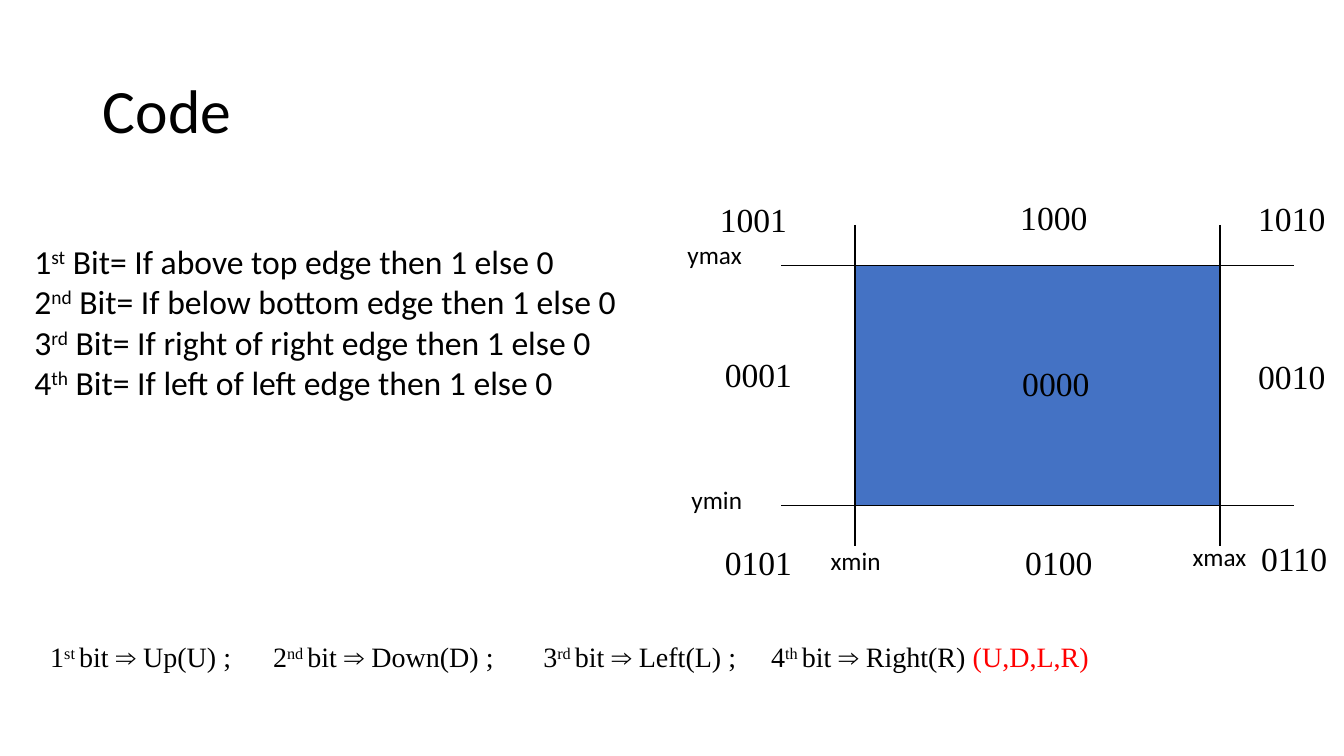
"""Build the slide on region codes for line clipping."""
from dataclasses import dataclass

from lxml import etree
from pptx import Presentation
from pptx.dml.color import RGBColor
from pptx.enum.shapes import MSO_CONNECTOR as CONN, MSO_SHAPE as SHAPE
from pptx.enum.text import MSO_ANCHOR as ANCHOR, MSO_AUTO_SIZE as AUTO, PP_ALIGN as ALIGN
from pptx.oxml.ns import qn
from pptx.util import Inches, Pt


@dataclass(frozen=True)
class Theme:
    black: RGBColor = RGBColor(0, 0, 0)
    red: RGBColor = RGBColor(255, 0, 0)
    blue: RGBColor = RGBColor(0x44, 0x72, 0xC4)
    sans: str = "Calibri"
    serif: str = "Times New Roman"
    title: Pt = Pt(44)
    body: Pt = Pt(24)
    key: Pt = Pt(20)
    label: Pt = Pt(18)
    line: Pt = Pt(0.75)


T = Theme()


def style(p, font, size, color=T.black):
    for r in p.runs:
        r.font.name, r.font.size = font, size
        r.font.color.rgb = color


def add_marked(p, text, font, size):
    for i, part in enumerate(text.split("^")):
        r = p.add_run()
        r.text = part
        if i % 2:
            r.font._element.set("baseline", "30000")
    style(p, font, size)


prs = Presentation()
prs.slide_width, prs.slide_height = Inches(13.33), Inches(7.5)
slide = prs.slides.add_slide(prs.slide_layouts[1])

title, body = slide.placeholders
title.left, title.top, title.width, title.height = map(Inches, (0.92, 0.4, 11.5, 1.45))
tf = title.text_frame
tf.text = "Code"
tf.vertical_anchor = ANCHOR.MIDDLE
p = tf.paragraphs[0]
p.alignment, p.line_spacing = ALIGN.LEFT, 0.9
style(p, T.sans, T.title)

body.left, body.top, body.width, body.height = map(Inches, (0.24, 2.34, 6.03, 2.12))
tf = body.text_frame
tf.auto_size = AUTO.NONE
rules = ["1^st^ Bit= If above top edge then 1 else 0",
         "2^nd^ Bit= If below bottom edge then 1 else 0",
         "3^rd^ Bit= If right of right edge then 1 else 0",
         "4^th^ Bit= If left of left edge then 1 else 0"]
for i, rule in enumerate(rules):
    p = tf.add_paragraph() if i else tf.paragraphs[0]
    p.space_before = Pt(0)
    pPr = p._p.get_or_add_pPr()
    pPr.set("marL", "0")
    pPr.set("indent", "0")
    etree.SubElement(pPr, qn("a:buNone"))
    add_marked(p, rule, T.sans, T.body)

xmin, xmax, ymin, ymax = 8.48, 12.1, 5.02, 2.63
over_x, over_y = 0.73, 0.4
diagram = slide.shapes.add_group_shape().shapes
window = diagram.add_shape(SHAPE.RECTANGLE, Inches(xmin), Inches(ymax),
                           Inches(xmax - xmin), Inches(ymin - ymax))
window.shadow.inherit = False
window.fill.solid()
window.fill.fore_color.rgb = T.blue
window.line.color.rgb, window.line.width = T.black, T.line

edges = [(x, ymax - over_y, x, ymin + over_y) for x in (xmin, xmax)]
edges += [(xmin - over_x, y, xmax + over_x, y) for y in (ymax, ymin)]
for edge in edges:
    line = diagram.add_connector(CONN.STRAIGHT, *map(Inches, edge))
    line.line.color.rgb, line.line.width = T.black, T.line
    etree.SubElement(line._element.spPr, qn("a:effectLst"))

limits = [("xmin", 7.99, 5.36, 0.99, ALIGN.CENTER), ("xmax", 11.56, 5.32, 1.07, ALIGN.CENTER),
          ("ymin", 6.76, 4.76, 0.99, ALIGN.LEFT), ("ymax", 6.72, 2.33, 1.07, ALIGN.LEFT)]
codes = [("0000", 10.04, 3.55), ("1000", 10.02, 1.9), ("0100", 10.07, 5.33),
         ("1001", 7.04, 1.92), ("0001", 7.09, 3.46), ("0101", 7.09, 5.33),
         ("1010", 12.38, 1.91), ("0010", 12.38, 3.48), ("0110", 12.41, 5.29)]
labels = [(diagram, *limit, 0.6, T.sans, T.label) for limit in limits]
labels += [(slide.shapes, *code, 0.88, ALIGN.LEFT, 0.5, T.serif, T.body) for code in codes]
for shapes, text, x, y, width, align, height, font, size in labels:
    tf = shapes.add_textbox(*map(Inches, (x, y, width, height))).text_frame
    tf.text = text
    tf.word_wrap, tf.auto_size = False, AUTO.SHAPE_TO_FIT_TEXT
    tf.paragraphs[0].alignment = align
    style(tf.paragraphs[0], font, size)

tf = slide.shapes.add_textbox(*map(Inches, (0.4, 6.3, 10.94, 0.44))).text_frame
tf.word_wrap, tf.auto_size = True, AUTO.SHAPE_TO_FIT_TEXT
p = tf.paragraphs[0]
tabs = etree.SubElement(p._p.get_or_add_pPr(), qn("a:tabLst"))
for stop in (2.21, 4.89, 7.15):
    etree.SubElement(tabs, qn("a:tab"), pos=str(Inches(stop)), algn="l")
add_marked(p, "1^st ^bit ⇒ Up(U) ;\t2^nd ^bit ⇒ Down(D) ;\t3^rd ^bit ⇒ Left(L) ;"
              "\t4^th ^bit ⇒ Right(R) ", T.serif, T.key)
r = p.add_run()
r.text = "(U,D,L,R)"
r.font.name, r.font.size, r.font.color.rgb = T.serif, T.key, T.red

prs.save("out.pptx")
